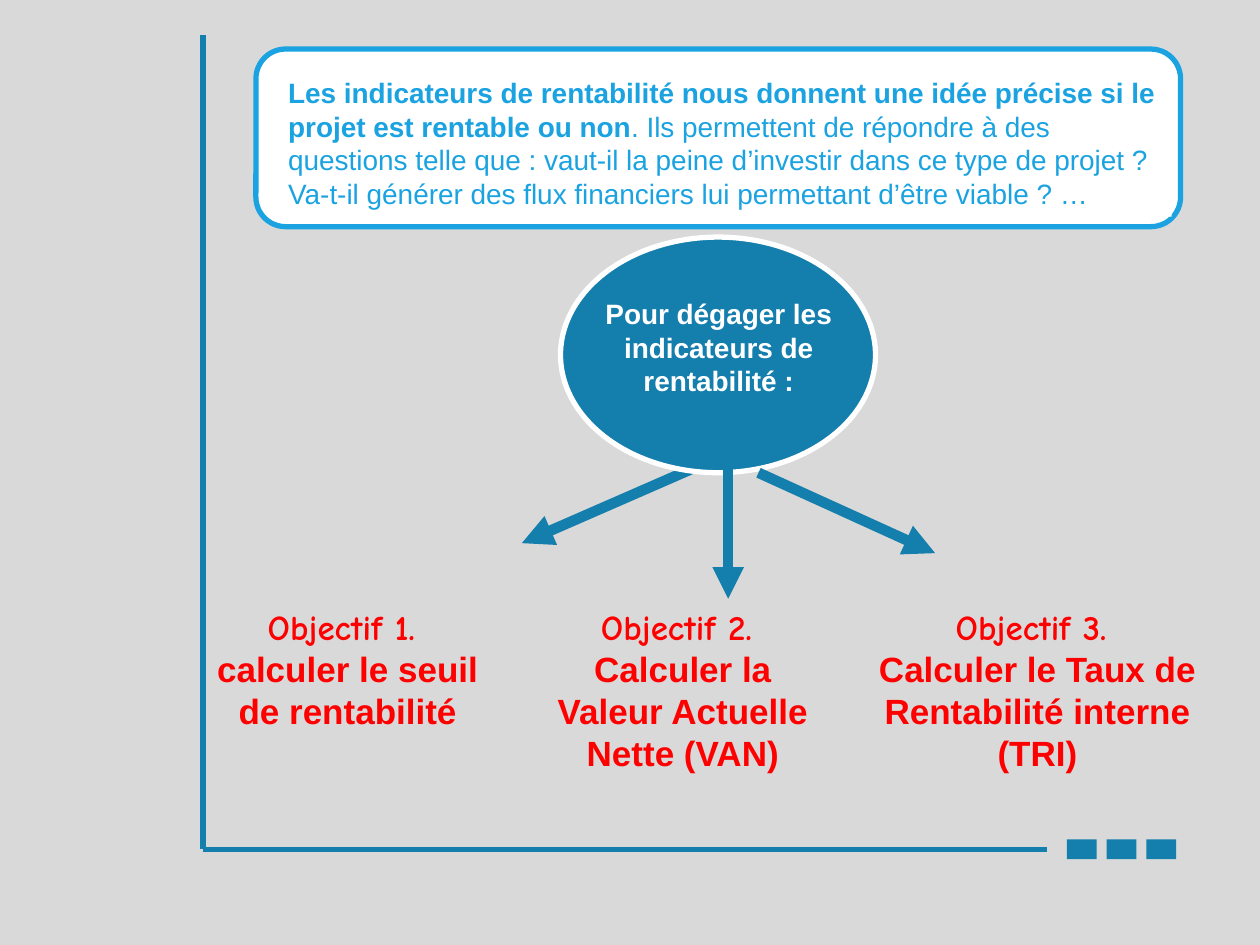
from lxml import etree
from pptx import Presentation
from pptx.dml.color import RGBColor
from pptx.enum import shapes, text
from pptx.oxml import ns
from pptx.util import Cm, Pt

BLUE = RGBColor(0x14, 0x7E, 0xAD)
SKY = RGBColor(0x1A, 0xA3, 0xE0)
RED = RGBColor(0xFF, 0, 0)
WHITE = RGBColor(0xFF, 0xFF, 0xFF)
GREY = RGBColor(0xD9, 0xD9, 0xD9)

INTRO = [
    ("Les indicateurs de rentabilité nous donnent une idée précise si le projet est rentable ou non", True),
    (". Ils permettent de répondre à des questions telle que : vaut-il la peine d’investir dans ce type "
     "de projet ? Va-t-il générer des flux financiers lui permettant d’être viable ? …", False),
]
CENTRE = "Pour dégager les indicateurs de rentabilité :"
OBJECTIVES = [
    ("Objectif 1. ", "calculer le seuil de rentabilité", 3.63, 6.76),
    ("Objectif 2. ", "Calculer la Valeur Actuelle Nette (VAN)", 10.59, 6.35),
    ("Objectif 3. ", "Calculer le Taux de Rentabilité interne (TRI)", 16.94, 7.95),
]
LEFT_ARROW = (14.71, 9.12, 10.52, 10.95)
RIGHT_ARROW = (15.29, 9.53, 18.85, 11.15)
DOWN_ARROW = (14.68, 9.09, 14.68, 12.07)
FRAME_X, FRAME_TOP, FRAME_BOTTOM, FRAME_RIGHT = 4.09, 0.71, 17.12, 21.11
SQUARE_X, SQUARE_STEP, SQUARE_W, SQUARE_H = 21.51, 0.8, 0.6, 0.4

prs = Presentation()
prs.slide_width, prs.slide_height = Cm(25.4), Cm(19.05)
s = prs.slides.add_slide(prs.slide_layouts[6])
s.background.fill.solid()
s.background.fill.fore_color.rgb = GREY


def add_line(points, width, arrow=False):
    c = s.shapes.add_connector(shapes.MSO_CONNECTOR.STRAIGHT, *map(Cm, points))
    c.line.color.rgb = BLUE
    c.line.width = Pt(width)
    if arrow:
        etree.SubElement(c.line._get_or_add_ln(), ns.qn("a:tailEnd"), type="triangle")
    etree.SubElement(c._element.spPr, ns.qn("a:effectLst"))


def add_box(kind, box, fill, line=None):
    sp = s.shapes.add_shape(kind, *map(Cm, box))
    sp.shadow.inherit = False
    sp.fill.solid()
    sp.fill.fore_color.rgb = fill
    if line is None:
        sp.line.fill.background()
    else:
        sp.line.color.rgb = line
        sp.line.width = Pt(3)
    return sp


def add_text(box, anchor=text.MSO_ANCHOR.TOP):
    tf = s.shapes.add_textbox(*map(Cm, box)).text_frame
    tf.word_wrap = True
    tf.vertical_anchor = anchor
    return tf


def style(p, size, color, font="Arial", align=text.PP_ALIGN.CENTER):
    p.alignment = align
    p.font.size = Pt(size)
    p.font.name = font
    p.font.bold = True
    p.font.color.rgb = color


add_line((FRAME_X, FRAME_TOP, FRAME_X, FRAME_BOTTOM), 3)
add_line((FRAME_X, FRAME_BOTTOM, FRAME_RIGHT, FRAME_BOTTOM), 3)
for i in range(3):
    add_box(shapes.MSO_SHAPE.RECTANGLE,
            (SQUARE_X + i * SQUARE_STEP, FRAME_BOTTOM - SQUARE_H / 2, SQUARE_W, SQUARE_H), BLUE)

add_line(LEFT_ARROW, 6, True)
add_box(shapes.MSO_SHAPE.OVAL, (11.3, 4.78, 6.35, 4.75), BLUE, WHITE)
p = add_text((11.91, 5.03, 5.16, 3.94), text.MSO_ANCHOR.MIDDLE).paragraphs[0]
p.text = CENTRE
style(p, 16, WHITE)
add_line(RIGHT_ARROW, 6, True)

for heading, goal, left, width in OBJECTIVES:
    tf = add_text((left, 12.09, width, 3.66))
    tf.text = heading + "\n" + goal
    for p, font in zip(tf.paragraphs, ("Comic Neue", "Arial")):
        style(p, 20, RED, font)
add_line(DOWN_ARROW, 6, True)

add_box(shapes.MSO_SHAPE.ROUNDED_RECTANGLE, (5.16, 0.99, 18.64, 3.58), WHITE, SKY)
sp = add_box(shapes.MSO_SHAPE.RECTANGLE, (5.56, 1.4, 18.06, 2.97), WHITE)
tf = sp.text_frame
tf.word_wrap = True
tf.vertical_anchor = text.MSO_ANCHOR.TOP
p = tf.paragraphs[0]
style(p, 16, SKY, align=text.PP_ALIGN.LEFT)
p.space_before = Pt(10)
for words, bold in INTRO:
    r = p.add_run()
    r.text = words
    r.font.bold = bold

prs.save("out.pptx")
